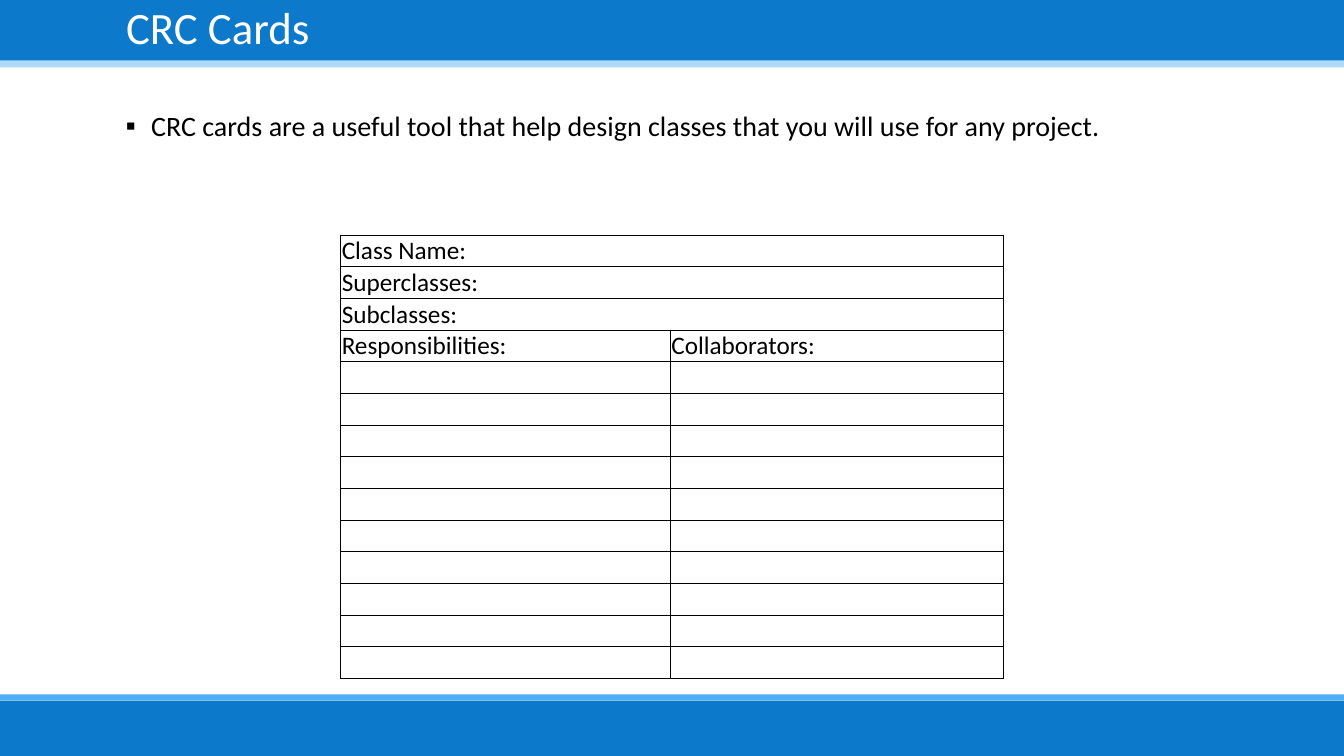
from dataclasses import dataclass

from lxml import etree
from pptx import Presentation
from pptx.dml.color import RGBColor
from pptx.enum.shapes import MSO_SHAPE
from pptx.enum.text import MSO_ANCHOR, MSO_AUTO_SIZE, PP_ALIGN
from pptx.oxml.ns import qn
from pptx.util import Inches, Pt

RECT = MSO_SHAPE.RECTANGLE
LEFT = PP_ALIGN.LEFT
TOP, MIDDLE, BOTTOM = MSO_ANCHOR.TOP, MSO_ANCHOR.MIDDLE, MSO_ANCHOR.BOTTOM
NO_FIT = MSO_AUTO_SIZE.NONE
WIDTH, HEIGHT = 13.33, 7.5
BLACK, WHITE, BLUE = "000000", "FFFFFF", "0D79CA"


@dataclass
class Band:
    top: float
    height: float
    color: str
    alpha: int = 100


BANDS = [
    Band(0, 0.67, "8CC9F7", 70),
    Band(0, 0.6, BLUE),
    Band(6.89, 0.06, "4FADF3"),
    Band(6.95, 0.55, BLUE),
]
HEADS = ["Class Name:", "Superclasses:", "Subclasses:"]
PAIR = ["Responsibilities:", "Collaborators:"]
ROWS = 14
COLS = [3.27, 3.3]


def paint(target, color: str) -> None:
    target.rgb = RGBColor.from_string(color)


def write(frame, text: str, *, size: float, color: str = BLACK,
          anchor=TOP, spacing: float = 1.0, bullet: str = "") -> None:
    frame.word_wrap = True
    frame.vertical_anchor = anchor
    para = frame.paragraphs[0]
    para.alignment = LEFT
    para.line_spacing = spacing
    if bullet:
        props = para._p.get_or_add_pPr()
        props.set("marL", str(Inches(0.25)))
        props.set("indent", str(-Inches(0.25)))
        etree.SubElement(props, qn("a:buFont"), typeface="Calibri")
        etree.SubElement(props, qn("a:buChar"), char=bullet)
    run = para.add_run()
    run.text = text
    run.font.name = "Calibri"
    run.font.size = Pt(size)
    paint(run.font.color, color)


def add_band(slide, band: Band) -> None:
    shape = slide.shapes.add_shape(
        RECT, 0, Inches(band.top), Inches(WIDTH), Inches(band.height))
    shape.shadow.inherit = False
    shape.line.fill.background()
    shape.fill.solid()
    paint(shape.fill.fore_color, band.color)
    if band.alpha < 100:
        tint = shape._element.spPr.find(".//" + qn("a:srgbClr"))
        etree.SubElement(tint, qn("a:alpha"), val=str(band.alpha * 1000))


def add_title(slide, text: str) -> None:
    title = slide.shapes.title
    title.left, title.top = Inches(1.15), 0
    title.width, title.height = Inches(11.02), Inches(0.6)
    title.text_frame.auto_size = NO_FIT
    write(title.text_frame, text, size=32, color=WHITE, anchor=MIDDLE,
          spacing=0.9)
    slide.shapes._spTree.append(title._element)


def add_body(slide, text: str) -> None:
    box = slide.shapes.add_textbox(
        Inches(1.15), Inches(1.07), Inches(11.02), Inches(0.6))
    write(box.text_frame, text, size=20, spacing=0.9, bullet="▪")


def frame_cell(cell) -> None:
    cell.margin_left = cell.margin_right = cell.margin_top = Inches(0.01)
    cell.margin_bottom = 0
    props = cell._tc.get_or_add_tcPr()
    for side in ("lnL", "lnR", "lnT", "lnB"):
        line = etree.SubElement(props, qn("a:" + side), w=str(Pt(0.5)))
        fill = etree.SubElement(line, qn("a:solidFill"))
        etree.SubElement(fill, qn("a:srgbClr"), val=BLACK)
    cell.fill.background()


def add_card(slide) -> None:
    high = Inches(4.4) // ROWS
    table = slide.shapes.add_table(
        ROWS, len(COLS), Inches(3.38), Inches(2.33),
        Inches(sum(COLS)), high * ROWS).table
    table.first_row = table.horz_banding = False
    for col, width in zip(table.columns, COLS):
        col.width = Inches(width)
    for row in table.rows:
        row.height = high
        for cell in row.cells:
            frame_cell(cell)
    for num, text in enumerate(HEADS):
        table.cell(num, 0).merge(table.cell(num, 1))
    labels = [(num, 0, text) for num, text in enumerate(HEADS)]
    labels += [(len(HEADS), num, text) for num, text in enumerate(PAIR)]
    for row, col, text in labels:
        cell = table.cell(row, col)
        write(cell.text_frame, text, size=18)
        cell.vertical_anchor = BOTTOM


def main() -> None:
    deck = Presentation()
    deck.slide_width, deck.slide_height = Inches(WIDTH), Inches(HEIGHT)
    slide = deck.slides.add_slide(deck.slide_layouts[5])
    for band in BANDS:
        add_band(slide, band)
    add_title(slide, "CRC Cards")
    add_body(slide, "CRC cards are a useful tool that help design classes "
                    "that you will use for any project.")
    add_card(slide)
    deck.save("out.pptx")


if __name__ == "__main__":
    main()
